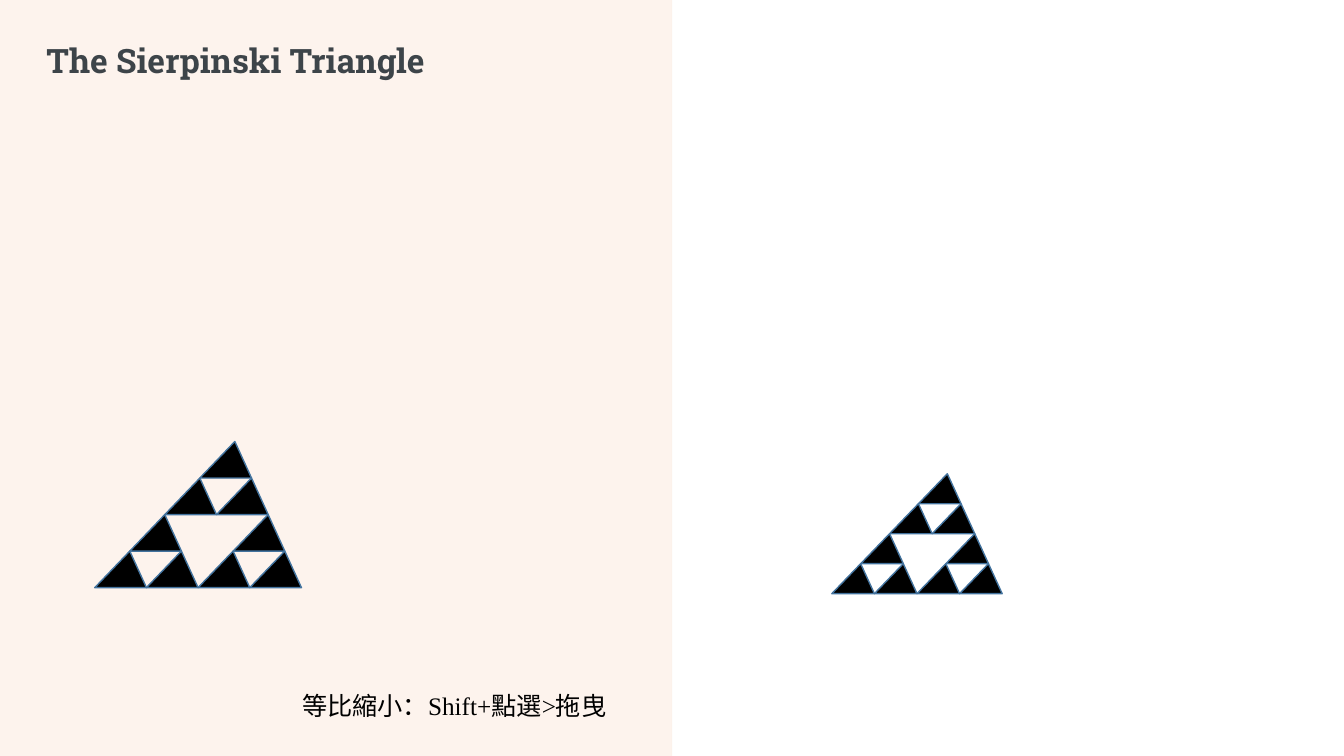
"""Build the slide showing a Sierpinski triangle at two sizes."""
from lxml import etree
from pptx import Presentation
from pptx.dml.color import RGBColor
from pptx.enum.shapes import MSO_CONNECTOR, MSO_SHAPE
from pptx.enum.text import MSO_ANCHOR, MSO_AUTO_SIZE, PP_ALIGN
from pptx.oxml.ns import qn
from pptx.util import Inches, Pt

RECTANGLE, TRIANGLE = MSO_SHAPE.RECTANGLE, MSO_SHAPE.ISOSCELES_TRIANGLE
STRAIGHT = MSO_CONNECTOR.STRAIGHT
LEFT, CENTER = PP_ALIGN.LEFT, PP_ALIGN.CENTER
MIDDLE, NO_FIT = MSO_ANCHOR.MIDDLE, MSO_AUTO_SIZE.NONE

TITLE = "The Sierpinski Triangle"
HINT = "等比縮小：Shift+點選>拖曳"
TITLE_BOX = (0.36, 0.4, 5.95, 0.44)
HINT_BOX = (2.83, 6.8, 3.35, 0.39)
FRACTALS = [(0.94, 4.38, 2.05, 1.45), (8.25, 4.7, 1.69, 1.19)]
DEPTH = 2
APEX = 0.678
WIDTH, HEIGHT = 13.33, 7.5
THEME = {
    "panel": "F4B183", "divider": "FBE5D6", "title": "3D4449",
    "ink": "000000", "edge": "43739E",
    "title_font": "Roboto Slab", "hint_font": "Times New Roman",
    "title_size": 24, "hint_size": 18,
}


def rgb(name):
    """Return a theme colour."""
    return RGBColor.from_string(THEME[name])


def set_alpha(element, percent):
    """Make the first colour inside an element partly transparent."""
    color = next(element.iter(qn("a:srgbClr")))
    etree.SubElement(color, qn("a:alpha"), val=str(percent * 1000))


def write(sp, text, *, font, size, color, bold=False, align=LEFT, wrap=True, spacing=1.0):
    """Put formatted text in a shape."""
    tf = sp.text_frame
    tf.auto_size = NO_FIT
    tf.word_wrap = wrap
    tf.vertical_anchor = MIDDLE
    p = tf.paragraphs[0]
    p.alignment = align
    p.line_spacing = spacing
    r = p.add_run()
    r.text = text
    r.font.name = THEME[font]
    r.font.size = Pt(THEME[size])
    r.font.bold = bold
    r.font.color.rgb = rgb(color)


def add_panel(s):
    """Tint the left half and draw the divider."""
    sp = s.shapes.add_shape(RECTANGLE, 0, 0, Inches(WIDTH / 2), Inches(HEIGHT))
    sp.shadow.inherit = False
    sp.fill.solid()
    sp.fill.fore_color.rgb = rgb("panel")
    set_alpha(sp.fill.fore_color and sp.element.spPr, 14)
    sp.line.fill.background()
    x = Inches(WIDTH / 2)
    divider = s.shapes.add_connector(STRAIGHT, x, Inches(HEIGHT), x, 0)
    divider.line.color.rgb = rgb("divider")
    divider.line.width = Pt(0.25)
    set_alpha(divider.element.spPr, 50)
    etree.SubElement(divider.element.spPr, qn("a:effectLst"))


def add_fractal(group, left, top, width, height, depth):
    """Draw a triangle, or its three half-size corners."""
    if depth:
        w, h = width / 2, height / 2
        for dx, dy in [(0, h), (APEX * w, 0), (w, h)]:
            add_fractal(group, left + dx, top + dy, w, h, depth - 1)
        return
    box = [Inches(v) for v in (left, top, width, height)]
    sp = group.shapes.add_shape(TRIANGLE, *box)
    sp.adjustments[0] = APEX
    sp.shadow.inherit = False
    sp.fill.solid()
    sp.fill.fore_color.rgb = rgb("ink")
    sp.line.color.rgb = rgb("edge")
    sp.line.width = Pt(1)


def main():
    """Assemble and save the slide."""
    prs = Presentation()
    prs.slide_width, prs.slide_height = Inches(WIDTH), Inches(HEIGHT)
    s = prs.slides.add_slide(prs.slide_layouts[5])
    add_panel(s)

    title = s.shapes.title
    title.left, title.top, title.width, title.height = map(Inches, TITLE_BOX)
    write(title, TITLE, font="title_font", size="title_size", color="title",
          bold=True, wrap=False, spacing=0.9)
    title.element.getparent().append(title.element)

    for box in FRACTALS:
        add_fractal(s.shapes.add_group_shape(), *box, DEPTH)

    hint = s.shapes.add_textbox(*map(Inches, HINT_BOX))
    write(hint, HINT, font="hint_font", size="hint_size", color="ink", align=CENTER)
    prs.save("out.pptx")


if __name__ == "__main__":
    main()
